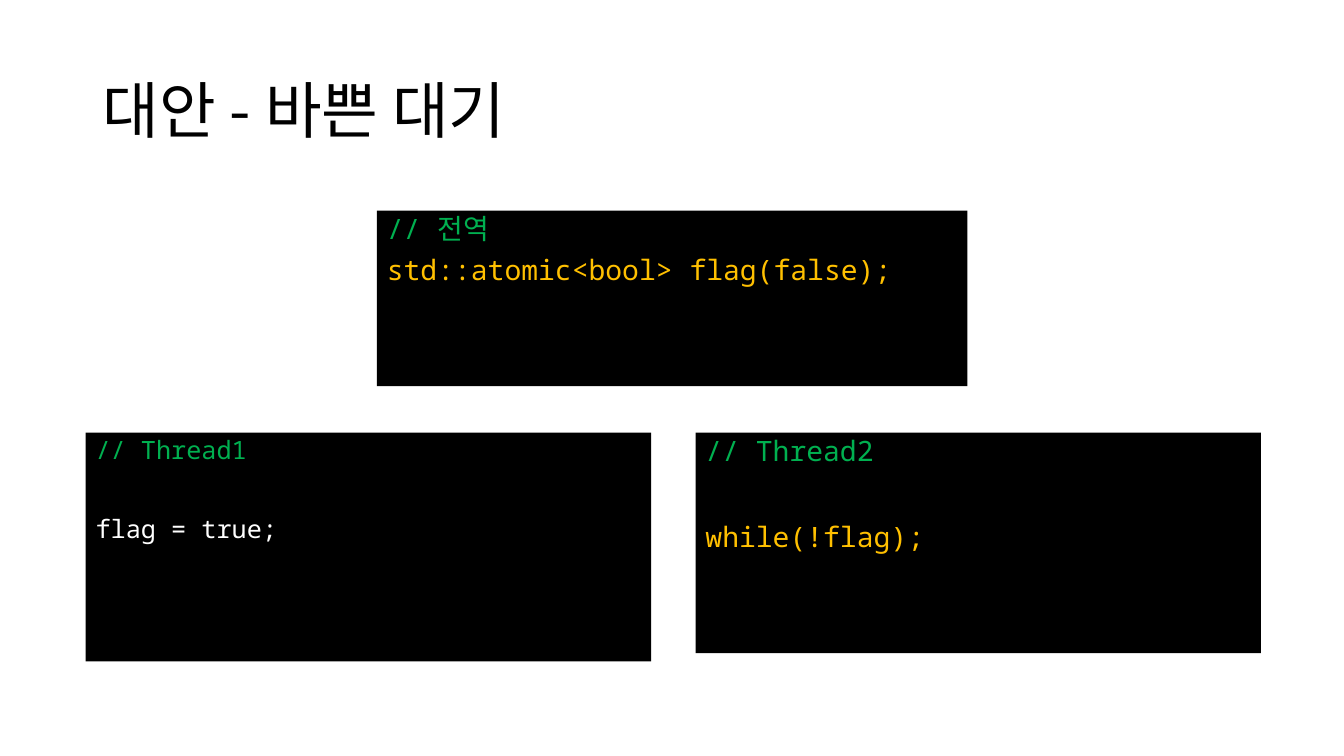
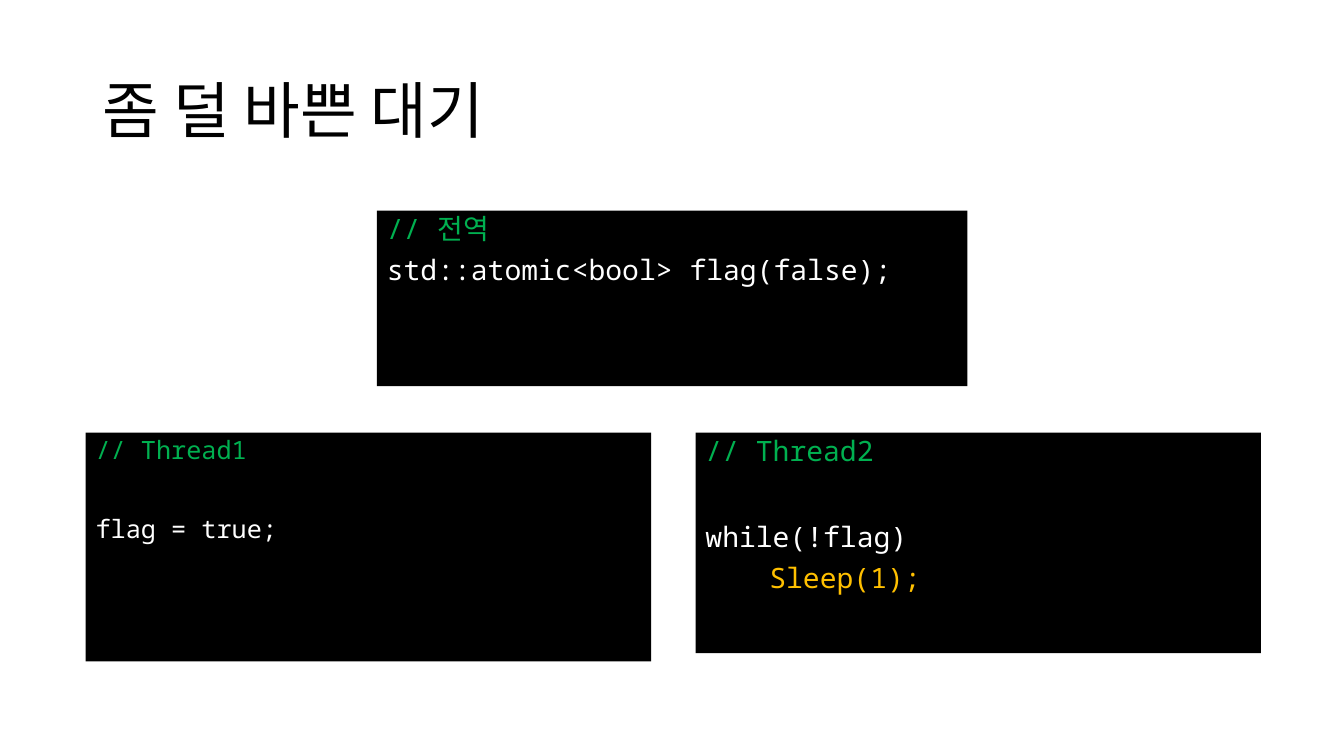
import dataclasses

import lxml.etree
import pptx
import pptx.dml.color
import pptx.enum.shapes
import pptx.enum.text
import pptx.oxml.ns
import pptx.util

Cm = pptx.util.Cm
Pt = pptx.util.Pt


@dataclasses.dataclass(frozen=True)
class Theme:
    title_font: str = "Noto Sans CJK KR"
    code_font: str = "Noto Sans Mono"
    title_size: int = 44
    code_size: int = 20
    small_code_size: int = 18
    ink: str = "000000"
    panel: str = "000000"
    comment: str = "00B050"
    plain: str = "FFFFFF"
    accent: str = "FFC000"
    line_spacing: float = 0.9
    space_before: float = 7.5
    blank_line: float = 1.23  # height of a skipped line, in type sizes
    indent: float = 1.61


THEME = Theme()

# Left, top, width and height in centimetres
TITLE_AREA = (2.34, 1.02, 29.21, 3.68)
GLOBAL_AREA = (9.5, 5.31, 14.88, 4.42)
THREAD1_AREA = (2.16, 10.9, 14.25, 5.77)
THREAD2_AREA = (17.53, 10.9, 14.25, 5.56)


@dataclasses.dataclass(frozen=True)
class Line:
    text: str
    color: str = THEME.plain
    indent: float = 0
    after_gap: bool = False


def set_values(target, values):
    for name, value in values.items():
        setattr(target, name, value)


def add_span(para, text, font_name, size, color):
    """Add text with one face for Latin and one for Korean letters."""
    span = para.add_run()
    span.text = text
    set_values(span.font, {"name": font_name, "size": Pt(size)})
    span.font.color.rgb = pptx.dml.color.RGBColor.from_string(color)
    east_asian = lxml.etree.SubElement(
        span.font._element, pptx.oxml.ns.qn("a:ea"))
    east_asian.set("typeface", THEME.title_font)


def add_title(page, text):
    box = page.shapes.add_textbox(*map(Cm, TITLE_AREA))
    set_values(box.text_frame, {
        "word_wrap": True,
        "vertical_anchor": pptx.enum.text.MSO_ANCHOR.MIDDLE,
    })
    para = box.text_frame.paragraphs[0]
    para.line_spacing = THEME.line_spacing
    add_span(para, text, THEME.title_font, THEME.title_size, THEME.ink)


def add_code_panel(page, area, lines, size=THEME.code_size):
    panel = page.shapes.add_shape(
        pptx.enum.shapes.MSO_SHAPE.RECTANGLE, *map(Cm, area))
    panel.shadow.inherit = False
    panel.fill.solid()
    panel.fill.fore_color.rgb = pptx.dml.color.RGBColor.from_string(THEME.panel)
    panel.line.fill.background()
    frame = panel.text_frame
    set_values(frame, {
        "word_wrap": True,
        "vertical_anchor": pptx.enum.text.MSO_ANCHOR.TOP,
    })
    for index, line in enumerate(lines):
        para = frame.add_paragraph() if index else frame.paragraphs[0]
        space = THEME.space_before if index else 0
        if line.after_gap:
            space += THEME.space_before + THEME.blank_line * size
        set_values(para, {
            "alignment": pptx.enum.text.PP_ALIGN.LEFT,
            "line_spacing": THEME.line_spacing,
            "space_before": Pt(space),
        })
        if line.indent:
            para._p.get_or_add_pPr().set("marL", str(Cm(line.indent)))
        add_span(para, line.text, THEME.code_font, size, line.color)


def add_flag_page(deck, title, flag_color, wait_lines):
    """Shared flag on top, the setting and waiting threads below."""
    page = deck.slides.add_slide(deck.slide_layouts[6])
    add_title(page, title)
    add_code_panel(page, THREAD1_AREA, [
        Line("// Thread1", THEME.comment),
        Line("flag = true;", after_gap=True),
    ], THEME.small_code_size)
    add_code_panel(page, GLOBAL_AREA, [
        Line("// 전역", THEME.comment),
        Line("std::atomic<bool> flag(false);", flag_color),
    ])
    add_code_panel(page, THREAD2_AREA, [
        Line("// Thread2", THEME.comment), *wait_lines,
    ])


def main():
    deck = pptx.Presentation()
    set_values(deck, {"slide_width": Cm(33.87), "slide_height": Cm(19.05)})

    # Busy waiting
    add_flag_page(deck, "대안 - 바쁜 대기", THEME.accent, [
        Line("while(!flag);", THEME.accent, after_gap=True),
    ])

    # Waiting with a sleep
    add_flag_page(deck, "좀 덜 바쁜 대기", THEME.plain, [
        Line("while(!flag)", after_gap=True),
        Line("Sleep(1);", THEME.accent, indent=THEME.indent),
    ])

    deck.save("out.pptx")


if __name__ == "__main__":
    main()
